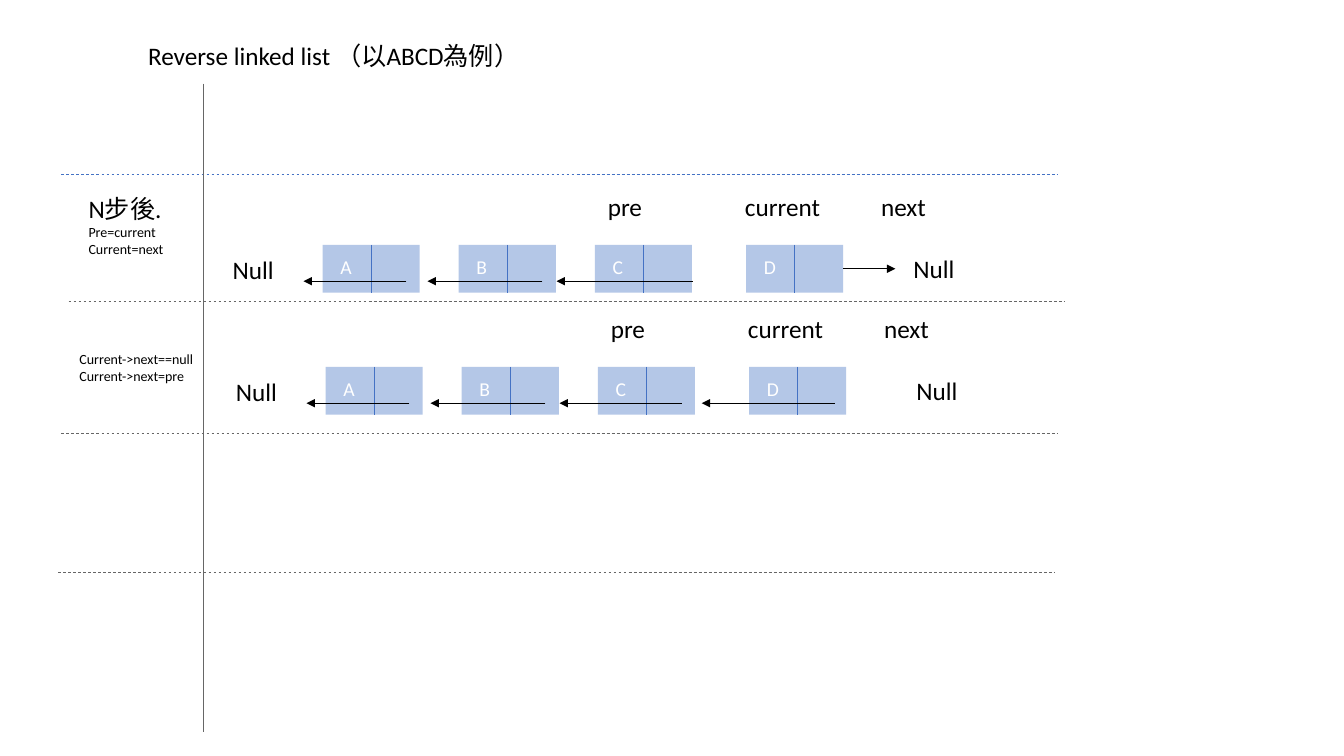
from dataclasses import dataclass
from lxml.etree import SubElement as Sub
from pptx import Presentation
from pptx.dml.color import RGBColor as RGB
from pptx.enum.dml import MSO_LINE as Dash
from pptx.enum.shapes import MSO_CONNECTOR as Link, MSO_SHAPE as Form
from pptx.enum.text import MSO_ANCHOR as Anchor, MSO_AUTO_SIZE as Fit, PP_ALIGN as Align
from pptx.oxml.ns import qn
from pptx.util import Inches, Pt


@dataclass(frozen=True)
class Theme:
    font: str = "Calibri"
    ink: str = "000000"
    rule: str = "666666"
    blue: str = "4472C4"
    box: str = "B4C7E7"
    pale: str = "FFFFFF"
    big: int = 18
    mid: int = 14
    small: int = 10
    thin: float = 0.5


T = Theme()

# Grid: ten columns and ten rows to the inch
NODES = {"A": 32, "B": 45.5, "C": 59, "D": 74}
NODE_TOP, NODE_W, NODE_H = 24.3, 9.63, 4.73
ARROW_ROW = 27.9
STEP_X, STEP_Y = 0.3, 12.1
WORDS = [("pre", 59.3, 18.5, 5.5), ("current", 72.9, 18.5, 9.6),
         ("next", 86.4, 18.5, 6.5), ("Null", 89.6, 24.65, 6.1),
         ("Null", 22.1, 24.7, 6.1)]


def grid(*cells):
    return [Inches(cell / 10) for cell in cells]


def write(para, text, size, color):
    run = para.add_run()
    run.text = text
    run.font.name = T.font
    run.font.size = Pt(size)
    run.font.color.rgb = RGB.from_string(color)


def label(slide, place, lines, wrap=False):
    frame = slide.shapes.add_textbox(*grid(*place)).text_frame
    frame.word_wrap = wrap
    frame.auto_size = Fit.SHAPE_TO_FIT_TEXT
    for i, (text, size) in enumerate(lines):
        para = frame.add_paragraph() if i else frame.paragraphs[0]
        write(para, text, size, T.ink)


def line(shapes, ends, color, dash=False, head=False):
    link = shapes.add_connector(Link.STRAIGHT, *grid(*ends))
    link.line.color.rgb = RGB.from_string(color)
    link.line.width = Pt(T.thin)
    if dash:
        link.line.dash_style = Dash.DASH
    if head:
        Sub(link.line._get_or_add_ln(), qn("a:tailEnd"), type="triangle")
    Sub(link._element.spPr, qn("a:effectLst"))
    return link


def node(slide, name, x, y):
    group = slide.shapes.add_group_shape()
    box = group.shapes.add_shape(Form.RECTANGLE, *grid(x, y, NODE_W, NODE_H))
    box.shadow.inherit = False
    box.fill.solid()
    box.fill.fore_color.rgb = RGB.from_string(T.box)
    box.line.fill.background()
    frame = box.text_frame
    frame.vertical_anchor = Anchor.MIDDLE
    frame.margin_left, frame.margin_top, frame.margin_right, frame.margin_bottom = grid(
        1.76, 0, 0, 0.5)
    frame.paragraphs[0].alignment = Align.LEFT
    write(frame.paragraphs[0], name, T.mid, T.pale)
    # Divider between value and pointer
    mid = x + NODE_W / 2
    split = line(group.shapes, (mid, y, mid, y + NODE_H), T.blue)
    split.begin_connect(box, 0)
    split.end_connect(box, 2)
    return box


def stage(slide, step, arrows):
    """Draw one state of the list and return its nodes."""
    dx, dy = step * STEP_X, step * STEP_Y
    for text, x, y, wide in WORDS:
        label(slide, (x + dx, y + dy, wide, 4), [(text, T.big)])
    boxes = {name: node(slide, name, x + dx, NODE_TOP + dy)
             for name, x in NODES.items()}
    y = ARROW_ROW + dy
    for start, end in arrows:
        line(slide.shapes, (start + dx, y, end + dx, y), T.ink, head=True)
    return boxes


def main():
    deck = Presentation()
    deck.slide_width, deck.slide_height = Inches(13.33), Inches(7.5)
    slide = deck.slides.add_slide(deck.slide_layouts[6])

    # Title
    label(slide, (13.7, 3.5, 39.2, 4),
          [("Reverse linked list （以ABCD為例）", T.big)], wrap=True)

    # Row rules and the column rule
    for x, y, color in [(6.1, 17.3, T.blue), (6.8, 29.9, T.rule),
                        (6.1, 43, T.rule), (5.8, 56.8, T.rule)]:
        line(slide.shapes, (x, y, x + 98.8, y), color, dash=True)
    line(slide.shapes, (20.2, 8.3, 20.2, 72.6), T.rule)

    # Steps in the left column
    label(slide, (7.8, 18.7, 10.6, 7.4),
          [("N步後.", T.big), ("Pre=current", T.small),
           ("Current=next", T.small)], wrap=True)
    label(slide, (6.9, 34.3, 13.6, 4.4),
          [("Current->next==null", T.small), ("Current->next=pre", T.small)],
          wrap=True)

    # List before and after the last link turns
    turned = [(40.3, 30.1), (53.8, 42.4)]
    boxes = stage(slide, 0, turned + [(68.7, 55.2)])
    y = NODE_TOP + NODE_H / 2
    last = line(slide.shapes, (83.6, y, 88.8, y), T.ink, head=True)
    last.begin_connect(boxes["D"], 3)
    stage(slide, 1, turned + [(67.3, 55.2), (82.5, 69.3)])

    deck.save("out.pptx")


if __name__ == "__main__":
    main()
